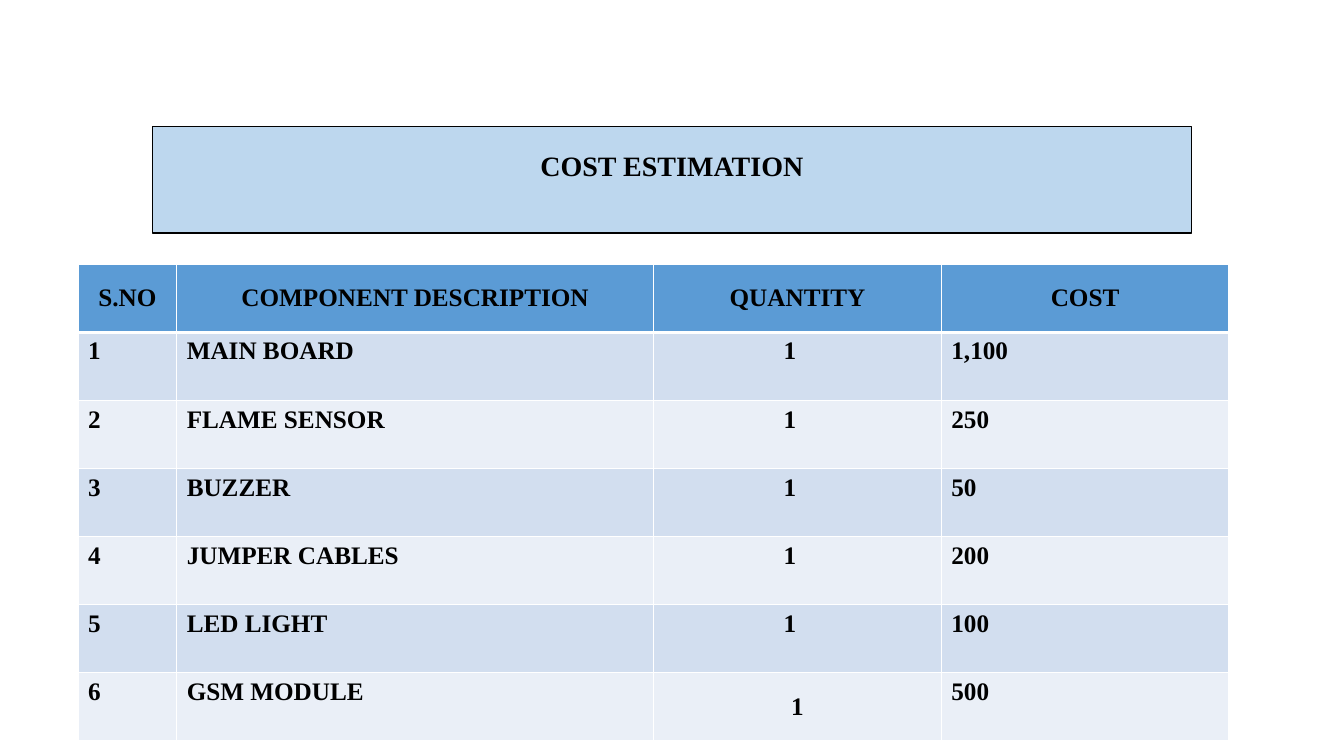
from dataclasses import dataclass

from lxml.etree import SubElement
from pptx import Presentation
from pptx.dml.color import RGBColor
from pptx.enum.shapes import MSO_SHAPE
from pptx.enum.text import MSO_ANCHOR, PP_ALIGN
from pptx.oxml.ns import qn
from pptx.util import Pt


@dataclass(frozen=True)
class Theme:
    font: str = "Times New Roman"
    title_size: float = 20
    table_size: float = 18
    text: str = "000000"
    border: str = "FFFFFF"
    title_fill: str = "BDD7EE"
    header_fill: str = "5B9BD5"
    band_fills: tuple = ("D2DEEF", "EAEFF7")


THEME = Theme()

HEADERS = ("S.NO", "COMPONENT DESCRIPTION", "QUANTITY", "COST")
COMPONENTS = (
    ("MAIN BOARD", "1", "1,100"),
    ("FLAME SENSOR", "1", "250"),
    ("BUZZER", "1", "50"),
    ("JUMPER CABLES", "1", "200"),
    ("LED LIGHT", "1", "100"),
    ("GSM MODULE", "1", "500"),
)
COLUMN_WIDTHS = (70.4, 340.8, 205.4, 205.4)
ROW_HEIGHT = 48.65
QUANTITY_COLUMN = 2
QUANTITY_INDENT = 92.7


def write_text(frame, text, *, size, align=PP_ALIGN.LEFT, line_spacing=1.0):
    paragraph = frame.paragraphs[0]
    paragraph.alignment = align
    paragraph.line_spacing = line_spacing
    run = paragraph.add_run()
    run.text = text
    run.font.name = THEME.font
    run.font.size = Pt(size)
    run.font.bold = True
    run.font.color.rgb = RGBColor.from_string(THEME.text)


def set_borders(cell, *, top=1, bottom=1):
    properties = cell._tc.get_or_add_tcPr()
    for side, width in (("L", 1), ("R", 1), ("T", top), ("B", bottom)):
        line = SubElement(properties, qn(f"a:ln{side}"), w=str(Pt(width)))
        fill = SubElement(line, qn("a:solidFill"))
        SubElement(fill, qn("a:srgbClr"), val=THEME.border)


class SlideBuilder:
    def __init__(self, slide, theme):
        self.slide = slide
        self.theme = theme

    def title_box(self, text, left, top, width, height):
        shape = self.slide.shapes.add_shape(
            MSO_SHAPE.RECTANGLE, Pt(left), Pt(top), Pt(width), Pt(height))
        shape.shadow.inherit = False
        shape.fill.solid()
        shape.fill.fore_color.rgb = RGBColor.from_string(self.theme.title_fill)
        shape.line.color.rgb = RGBColor.from_string(self.theme.text)
        shape.line.width = Pt(1)
        shape.text_frame.word_wrap = True
        shape.text_frame.vertical_anchor = MSO_ANCHOR.TOP
        write_text(shape.text_frame, text, size=self.theme.title_size,
                   align=PP_ALIGN.CENTER, line_spacing=1.5)

    def cell(self, cell, text, fill, *, centred=False, top=1, bottom=1):
        set_borders(cell, top=top, bottom=bottom)
        cell.fill.solid()
        cell.fill.fore_color.rgb = RGBColor.from_string(fill)
        cell.vertical_anchor = MSO_ANCHOR.MIDDLE if centred else MSO_ANCHOR.TOP
        write_text(cell.text_frame, text, size=self.theme.table_size,
                   align=PP_ALIGN.CENTER if centred else PP_ALIGN.LEFT)

    def cost_table(self, left, top):
        row_count = len(COMPONENTS) + 1
        table = self.slide.shapes.add_table(
            row_count, len(HEADERS), Pt(left), Pt(top),
            Pt(sum(COLUMN_WIDTHS)), Pt(ROW_HEIGHT * row_count)).table
        for column, width in zip(table.columns, COLUMN_WIDTHS):
            column.width = Pt(width)
        for row in table.rows:
            row.height = Pt(ROW_HEIGHT)

        # Header row
        for index, text in enumerate(HEADERS):
            self.cell(table.cell(0, index), text, self.theme.header_fill,
                      centred=True, bottom=3)

        # Banded rows; the last quantity is centred, the others are indented
        for number, component in enumerate(COMPONENTS, start=1):
            fill = self.theme.band_fills[(number - 1) % 2]
            for index, text in enumerate((str(number), *component)):
                cell = table.cell(number, index)
                is_quantity = index == QUANTITY_COLUMN
                centred = is_quantity and number == len(COMPONENTS)
                self.cell(cell, text, fill, centred=centred,
                          top=3 if number == 1 else 1)
                if is_quantity and not centred:
                    cell.margin_left = Pt(QUANTITY_INDENT)


def main():
    presentation = Presentation()
    presentation.slide_width = Pt(960)
    presentation.slide_height = Pt(540)
    slide = presentation.slides.add_slide(presentation.slide_layouts[6])
    builder = SlideBuilder(slide, THEME)
    builder.title_box("COST ESTIMATION", 108.8, 90.2, 742.4, 76.4)
    builder.cost_table(55.8, 188.8)
    presentation.save("out.pptx")


if __name__ == "__main__":
    main()
